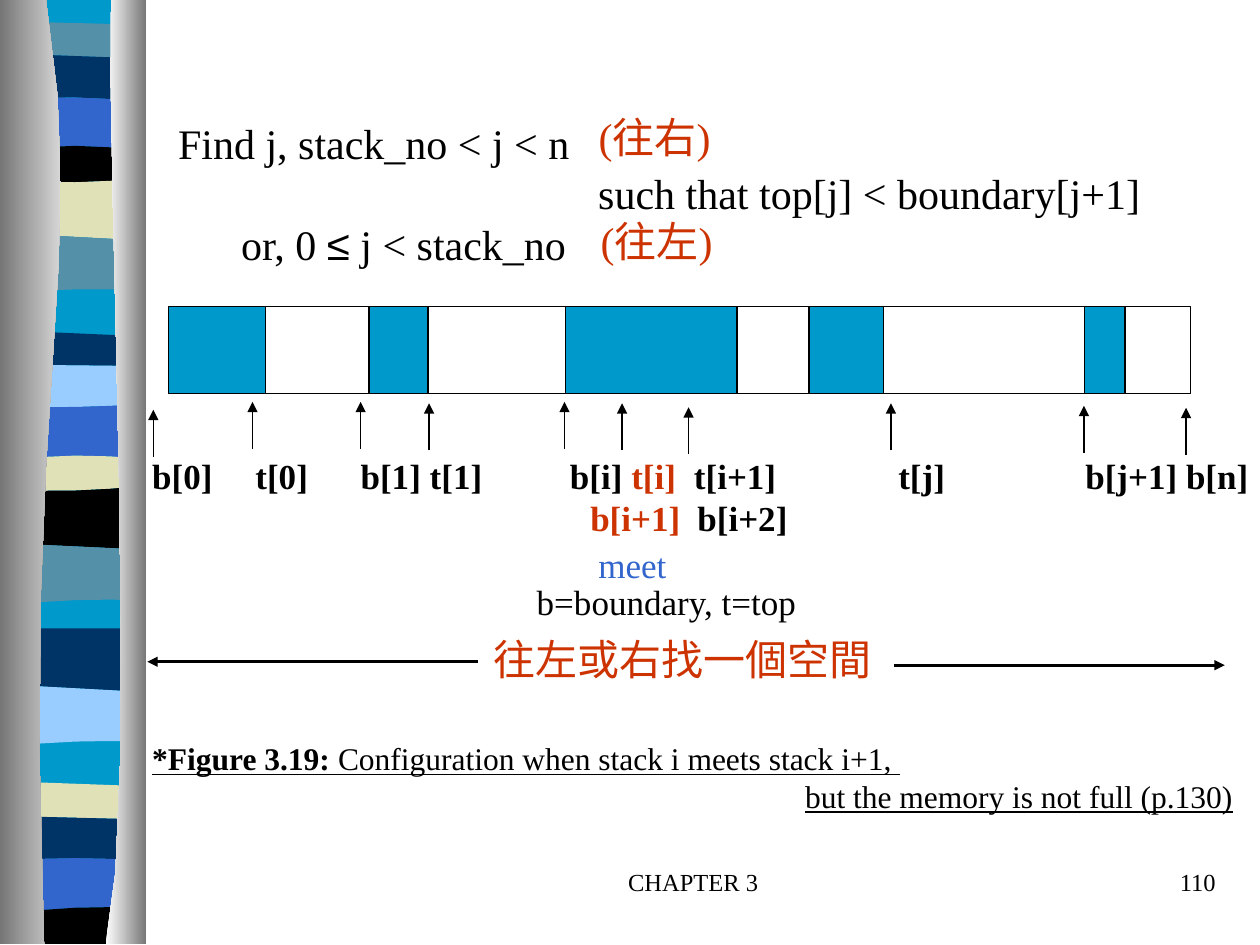
import math
from dataclasses import dataclass

import pptx
import pptx.util
import pptx.dml.color
import pptx.enum.shapes
import pptx.enum.text
import pptx.oxml.ns
from lxml import etree

Cm = pptx.util.Cm
Pt = pptx.util.Pt
Align = pptx.enum.text.PP_ALIGN
qn = pptx.oxml.ns.qn

BLACK, RED, BLUE, CYAN = "000000", "CC3300", "3366CC", "0099CC"
TEAL, NAVY, SAND, SKY = "5490A8", "003366", "E1E1B7", "99CCFF"
GREY, PALE, WHITE = "767676", "D6D6D6", "FFFFFF"
LEFT, RIGHT, FOOT = 0.13, 2.9, 19.03  # ribbon sides and bottom


@dataclass
class Band:
    left: float
    right: float
    bend: float
    fill: str


@dataclass
class Cell:
    x: float
    width: float


@dataclass
class Arrow:
    x1: float
    y1: float
    x2: float
    y2: float
    weight: float = 0.75


def rgb(code: str):
    return pptx.dml.color.RGBColor.from_string(code)


def paint(shape, fill=None, line=None):
    shape.shadow.inherit = False
    if fill:
        shape.fill.solid()
        shape.fill.fore_color.rgb = rgb(fill)
    else:
        shape.fill.background()
    if line:
        shape.line.color.rgb = rgb(line)
        shape.line.width = Pt(0.75)
    else:
        shape.line.fill.background()


def outline(slide, points: list):
    dots = [(Cm(x), Cm(y)) for x, y in points]
    build = slide.shapes.build_freeform(*dots[0])
    build.add_line_segments(dots[1:], close=True)
    return build.convert_to_shape()


def edge(band: Band) -> list:
    """Run along the top of a band; a flat one needs its two ends only."""
    steps = 4 if band.bend else 1
    parts = [i / steps for i in range(steps + 1)]
    return [(LEFT + (RIGHT - LEFT) * t,
             band.left + (band.right - band.left) * t + band.bend * math.sin(math.pi * t))
            for t in parts]


def curve(a, b, c, d, steps: int = 8) -> list:
    parts = [i / steps for i in range(steps + 1)]
    return [tuple((1 - t) ** 3 * p + 3 * (1 - t) ** 2 * t * q + 3 * (1 - t) * t * t * r + t ** 3 * s
                  for p, q, r, s in zip(a, b, c, d)) for t in parts]


def pillar(slide, side: float, rim: list, first: str, last: str):
    shape = outline(slide, rim + [(side, FOOT), (side, 0)])
    paint(shape)
    shape.fill.gradient()
    shape.fill.gradient_angle = 0
    for stop, code in zip(shape.fill.gradient_stops, (first, last)):
        stop.color.rgb = rgb(code)


def draw_cell(slide, cell: Cell, fill=None):
    kind = pptx.enum.shapes.MSO_SHAPE.RECTANGLE
    shape = slide.shapes.add_shape(kind, Cm(cell.x), Cm(6.18), Cm(cell.width), Cm(1.76))
    paint(shape, fill, BLACK)


def draw_arrow(slide, arrow: Arrow):
    kind = pptx.enum.shapes.MSO_CONNECTOR.STRAIGHT
    ends = (Cm(v) for v in (arrow.x1, arrow.y1, arrow.x2, arrow.y2))
    link = slide.shapes.add_connector(kind, *ends)
    link.line.color.rgb = rgb(BLACK)
    link.line.width = Pt(arrow.weight)
    etree.SubElement(link.line._get_or_add_ln(), qn("a:tailEnd"), type="triangle")
    etree.SubElement(link._element.spPr, qn("a:effectLst"))


def frame(slide, x: float, y: float, width: float, height: float, wrap: bool = False):
    body = slide.shapes.add_textbox(Cm(x), Cm(y), Cm(width), Cm(height)).text_frame
    body.word_wrap = wrap
    return body


def start(body, tabs=(), before: float = 0, indent: float = 0, align=Align.LEFT):
    """Give the first paragraph while it is empty, else a new one."""
    par = body.paragraphs[0]
    if par.runs:
        par = body.add_paragraph()
    par.alignment = align
    par.space_before = Pt(before)
    props = par._p.get_or_add_pPr()
    if indent:
        props.set("marL", str(Cm(indent)))
        props.set("indent", "0")
    if tabs:
        stops = etree.SubElement(props, qn("a:tabLst"))
        for tab in tabs:
            etree.SubElement(stops, qn("a:tab"), pos=str(Cm(tab)), algn="l")
    return par


def write(par, text: str, size: float = 20, color: str = BLACK, bold: bool = False,
          under: bool = False, font: str = "Times New Roman"):
    run = par.add_run()
    run.text = text
    run.font.size = Pt(size)
    run.font.name = font
    run.font.bold = bold
    run.font.underline = under
    run.font.color.rgb = rgb(color)


def main():
    deck = pptx.Presentation()
    deck.slide_width, deck.slide_height = Cm(25.4), Cm(19.05)
    slide = deck.slides.add_slide(deck.slide_layouts[6])

    # Striped ribbon on a cyan ground, between two grey pillars
    bands = [
        Band(0.43, 0.5, 0, TEAL), Band(1.08, 1.18, 0, NAVY),
        Band(2, 2.05, -0.06, BLUE), Band(3.04, 3.04, -0.1, BLACK),
        Band(3.65, 3.6, 0.05, SAND), Band(4.7, 4.85, 0, TEAL), Band(5.9, 5.85, -0.04, CYAN),
        Band(6.66, 6.78, 0, NAVY), Band(7.35, 7.38, 0, SKY), Band(8.2, 8.15, 0.03, BLUE),
        Band(9.28, 9.25, -0.08, SAND), Band(9.88, 9.8, 0.05, BLACK),
        Band(10.95, 11.08, 0, TEAL), Band(12.2, 12.1, -0.05, CYAN),
        Band(12.67, 12.67, 0, NAVY), Band(13.8, 13.95, 0, SKY), Band(15.05, 14.95, -0.05, CYAN),
        Band(15.75, 15.85, 0, SAND), Band(16.45, 16.52, 0, NAVY),
        Band(17.35, 17.35, -0.05, BLUE), Band(18.42, 18.3, -0.06, BLACK),
    ]
    top, base = Band(0, 0, 0, CYAN), Band(FOOT, FOOT, 0, BLACK)
    paint(outline(slide, edge(top) + edge(base)[::-1]), CYAN)
    for band, below in zip(bands, bands[1:] + [base]):
        if band.fill != CYAN:
            paint(outline(slide, edge(band) + edge(below)[::-1]), band.fill)
    pillar(slide, 0, curve((0.93, 0), (1.8, 5.49), (0.43, 7.52), (0.89, FOOT)), GREY, PALE)
    pillar(slide, 2.95, curve((2.24, 0), (2.13, 3.18), (2.82, 16.41), (2.13, FOOT)), WHITE, GREY)

    # Memory bar with the used parts
    draw_cell(slide, Cell(3.45, 20.55))
    for cell in (Cell(3.4, 1.96), Cell(7.44, 1.19), Cell(11.4, 3.46),
                 Cell(16.31, 1.5), Cell(21.87, 0.81)):
        draw_cell(slide, cell, CYAN)

    # Index arrows, then the two search arrows
    tips = [(3.09, 8.26), (5.09, 8.1), (7.27, 8.1), (8.65, 8.13), (11.38, 8.1),
            (12.54, 8.13), (13.88, 8.21), (17.96, 8.13), (21.85, 8.18), (23.91, 8.22)]
    for x, y in tips:
        draw_arrow(slide, Arrow(x, y + 0.95, x, y))
    draw_arrow(slide, Arrow(9.63, 13.34, 2.97, 13.34, 1.5))
    draw_arrow(slide, Arrow(18.03, 13.41, 24.69, 13.41, 1.5))

    # Index labels and caption
    body = frame(slide, 2.82, 9.03, 22.58, 7.54, wrap=True)
    body.margin_right = 0
    par = start(body, tabs=(2.08, 4.2, 8.42, 10.92, 15.04, 18.81))
    write(par, "b[0]\tt[0]\tb[1] t[1]\tb[i] ", bold=True)
    write(par, "t[i]", color=RED, bold=True)
    write(par, "\tt[i+1]\tt[j]\tb[j+1] b[n]", bold=True)
    par = start(body, tabs=(8.83, 10.99))
    write(par, "\tb[i+1]", color=RED, bold=True)
    write(par, "\tb[i+2]", bold=True)
    write(start(body, tabs=(7.75,), before=24), "\tb=boundary, t=top")
    par = start(body, before=67)
    write(par, "*Figure 3.19: ", size=18, bold=True, under=True)
    write(par, "Configuration when stack i meets stack i+1, ", size=18, under=True)
    par = start(body, tabs=(13.16,))
    write(par, "\t", size=18)
    write(par, "but the memory is not full (p.130)", size=18, under=True)

    # Search rule
    body = frame(slide, 3.34, 2.24, 20.8, 3.3, wrap=True)
    write(start(body), "Find j, stack_no < j < n", size=24)
    write(start(body, tabs=(8.47,)), "\tsuch that top[j] < boundary[j+1]", size=24)
    par = start(body, indent=1.27)
    write(par, "or, 0 ", size=24)
    write(par, "≤", size=24, font="Arial")
    write(par, " j < stack_no", size=24)

    # Short notes and footer
    notes = [
        ("meet", (11.81, 10.84, 1.88, 1.12), 20, BLUE, Align.CENTER),
        ("往左或右找一個空間", (9.7, 12.65, 8.13, 1.27), 24, RED, Align.CENTER),
        ("(往左)", (11.86, 4.22, 3.18, 1.27), 24, RED, Align.LEFT),
        ("(往右)", (11.82, 2.13, 3.18, 1.27), 24, RED, Align.LEFT),
        ("CHAPTER 3", (9.95, 17.35, 8.05, 1.27), 14, BLACK, Align.CENTER),
        ("110", (19.48, 17.35, 5.28, 1.27), 14, BLACK, Align.RIGHT),
    ]
    for text, place, size, color, align in notes:
        body = frame(slide, *place, wrap=size == 14)
        write(start(body, align=align), text, size=size, color=color)

    deck.save("out.pptx")


if __name__ == "__main__":
    main()
